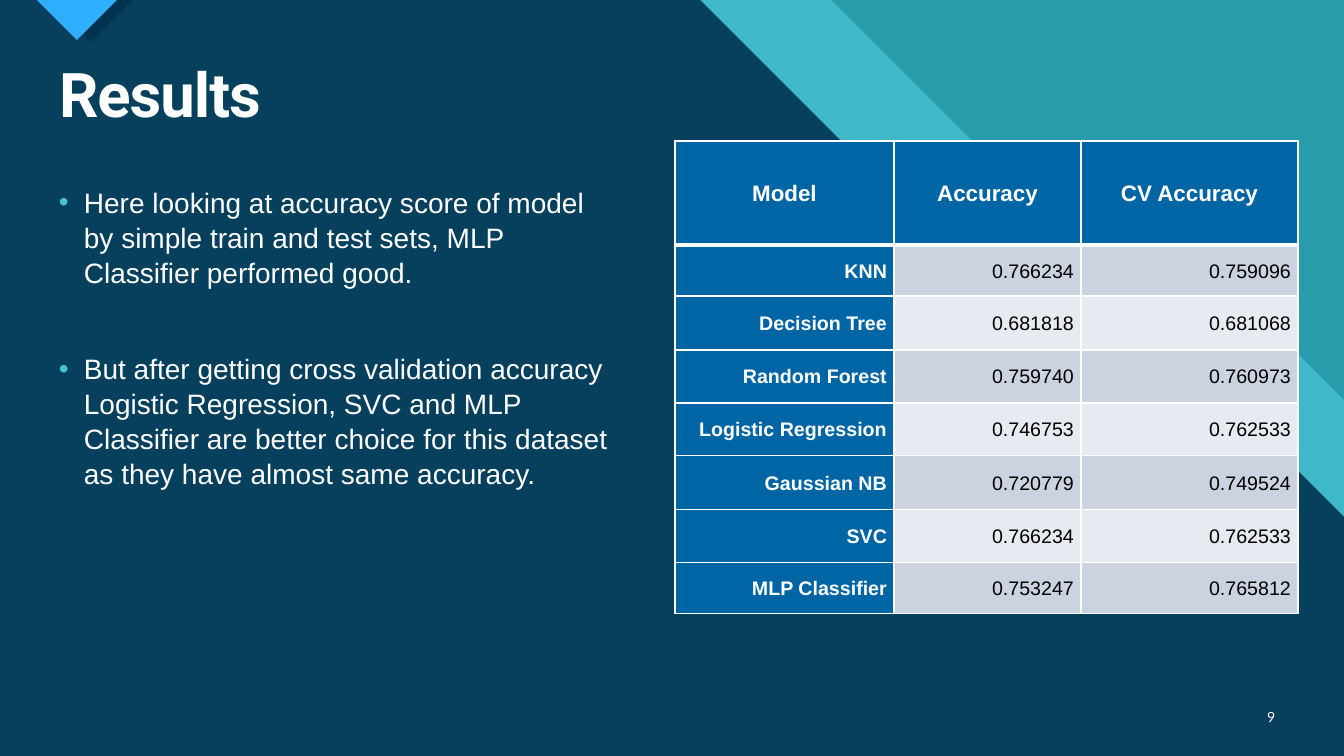
from lxml.etree import SubElement
from pptx import Presentation
from pptx.dml.color import RGBColor
from pptx.enum.text import MSO_ANCHOR as Anchor, MSO_AUTO_SIZE as AutoSize, PP_ALIGN as Align
from pptx.oxml.ns import qn
from pptx.util import Pt

PX = 914400 / 100.8
WIDTH, HEIGHT = 1344, 756

WHITE = RGBColor(0xFF, 0xFF, 0xFF)
BLACK = RGBColor(0x00, 0x00, 0x00)
TEAL = RGBColor(0x29, 0x9C, 0xAB)
AQUA = RGBColor(0x47, 0xC3, 0xD3)
NAVY = RGBColor(0x00, 0x33, 0x52)
SKY = RGBColor(0x2F, 0xAF, 0xFF)
BLUE = RGBColor(0x00, 0x65, 0xA4)
GREY = RGBColor(0xCC, 0xD3, 0xE0)
PALE = RGBColor(0xE7, 0xEA, 0xF0)

FINDINGS = [
    "Here looking at accuracy score of model by simple train and test sets, "
    "MLP Classifier performed good.",
    "But after getting cross validation accuracy Logistic Regression, SVC and MLP "
    "Classifier are better choice for this dataset as they have almost same accuracy.",
]
SCORES = [
    ("Model", "Accuracy", "CV Accuracy"),
    ("KNN", "0.766234", "0.759096"),
    ("Decision Tree", "0.681818", "0.681068"),
    ("Random Forest", "0.759740", "0.760973"),
    ("Logistic Regression", "0.746753", "0.762533"),
    ("Gaussian NB", "0.720779", "0.749524"),
    ("SVC", "0.766234", "0.762533"),
    ("MLP Classifier", "0.753247", "0.765812"),
]
COLUMN_WIDTHS = [219, 187, 217]
ROW_HEIGHTS = [104, 51, 54, 53, 53, 54, 53, 51]


def px(length):
    return round(length * PX)


def style_font(para, name, size, color, bold=False):
    for span in para.runs:
        font = span.font
        font.name, font.size, font.bold = name, Pt(size), bold
        font.color.rgb = color


def add_polygon(page, points, color, opacity=100):
    builder = page.shapes.build_freeform(*points[0], scale=PX)
    builder.add_line_segments(points[1:], close=True)
    shape = builder.convert_to_shape()
    shape.shadow.inherit = False
    shape.line.fill.background()
    shape.fill.solid()
    shape.fill.fore_color.rgb = color
    if opacity < 100:
        solid = shape.fill._xPr.find(qn("a:solidFill"))
        SubElement(solid[0], qn("a:alpha"), val=str(opacity * 1000))


def add_backdrop(page, width, height):
    page.background.fill.solid()
    page.background.fill.fore_color.rgb = TEAL
    corners = [(width, height), (0, height)]
    add_polygon(page, [(0, 0), (831, 0), (1131, 300), (1244, 300), (width, 400)] + corners, AQUA, 74)
    add_polygon(page, [(0, 0), (700, 0), (1000, 300), (1127, 300), (width, 517)] + corners, NAVY, 90)
    for left, depth, color in [(49, 42, NAVY), (37, 40, SKY)]:
        add_polygon(page, [(left, 0), (left + 2 * depth, 0), (left + depth, depth)], color)


def add_title(page, text, left, top, width, height):
    title = page.shapes.title
    page.shapes._spTree.append(title._element)  # bring in front of the backdrop
    title.left, title.top, title.width, title.height = map(px, (left, top, width, height))
    frame = title.text_frame
    frame.text = text
    frame.auto_size, frame.vertical_anchor = AutoSize.NONE, Anchor.MIDDLE
    para = frame.paragraphs[0]
    para.alignment, para.line_spacing = Align.LEFT, 0.9
    style_font(para, "Roboto", 44, WHITE, True)
    para.runs[0].font._element.set("spc", "-70")


def add_text_box(page, left, top, width, height):
    box = page.shapes.add_textbox(*map(px, (left, top, width, height)))
    box.text_frame.word_wrap = True
    return box.text_frame


def add_findings(page, left, top, width, height):
    frame = add_text_box(page, left, top, width, height)
    frame.text = "\n".join(FINDINGS)
    for para, space in zip(frame.paragraphs, (6, 40)):
        para.space_before, para.space_after, para.line_spacing = Pt(space), Pt(4), 1.04
        style_font(para, "Arial", 20, WHITE)
        props = para._p.get_or_add_pPr()
        props.set("marL", str(px(25)))
        props.set("indent", str(px(-25)))
        color = SubElement(props, qn("a:buClr"))
        SubElement(color, qn("a:srgbClr"), val=str(AQUA))
        SubElement(props, qn("a:buFont"), typeface="Arial")
        SubElement(props, qn("a:buChar"), char="•")


def add_page_number(page, number, left, top, width, height):
    frame = add_text_box(page, left, top, width, height)
    frame.text = str(number)
    frame.vertical_anchor = Anchor.MIDDLE
    frame.paragraphs[0].alignment = Align.RIGHT
    style_font(frame.paragraphs[0], "Lato", 10, WHITE)


def set_borders(cell, top, bottom):
    """Draw white borders, with top and bottom widths in points."""
    props = cell._tc.get_or_add_tcPr()
    for side, points in [("L", 1), ("R", 1), ("T", top), ("B", bottom)]:
        line = SubElement(props, qn("a:ln" + side), w=str(Pt(points)))
        solid = SubElement(line, qn("a:solidFill"))
        SubElement(solid, qn("a:srgbClr"), val=str(WHITE))


def fill_cell(cell, text, row, column):
    is_header = row == 0
    is_label = is_header or column == 0
    cell.margin_left = cell.margin_right = px(7)
    cell.margin_top = cell.margin_bottom = 0
    cell.vertical_anchor = Anchor.MIDDLE
    set_borders(cell, 3 if row == 1 else 1, 3 if is_header else 1)
    cell.fill.solid()
    cell.fill.fore_color.rgb = BLUE if is_label else GREY if row % 2 else PALE
    cell.text = text
    para = cell.text_frame.paragraphs[0]
    para.alignment = Align.CENTER if is_header else Align.RIGHT
    para.line_spacing, para.space_after = 1.07, Pt(8)
    style_font(para, "Arial", 16 if is_header else 14, WHITE if is_label else BLACK, is_label)


def add_score_table(page, left, top):
    size = sum(COLUMN_WIDTHS), sum(ROW_HEIGHTS)
    table = page.shapes.add_table(
        len(SCORES), len(COLUMN_WIDTHS), *map(px, (left, top, *size))).table
    for column, width in zip(table.columns, COLUMN_WIDTHS):
        column.width = px(width)
    for row, height in zip(table.rows, ROW_HEIGHTS):
        row.height = px(height)
    for row, texts in enumerate(SCORES):
        for column, text in enumerate(texts):
            fill_cell(table.cell(row, column), text, row, column)


def add_results_slide(deck):
    page = deck.slides.add_slide(deck.slide_layouts[5])
    add_backdrop(page, WIDTH, HEIGHT)
    add_title(page, "Results", 49, 59, 796, 78)
    add_findings(page, 49, 179, 574, 452)
    add_page_number(page, 9, 1241, 697, 44, 40)
    add_score_table(page, 675, 141)


def main():
    deck = Presentation()
    deck.slide_width, deck.slide_height = px(WIDTH), px(HEIGHT)
    add_results_slide(deck)
    deck.save("out.pptx")


if __name__ == "__main__":
    main()
